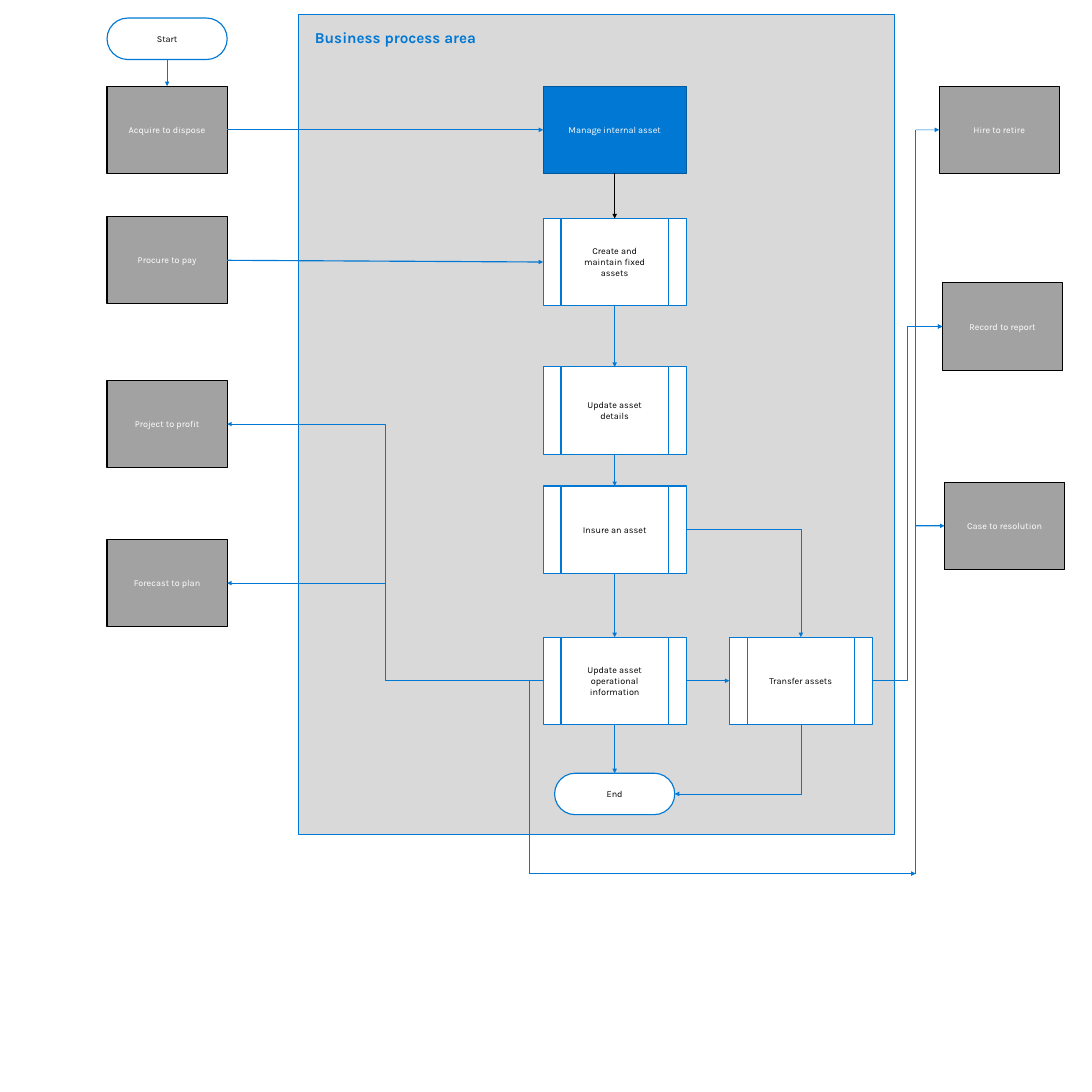
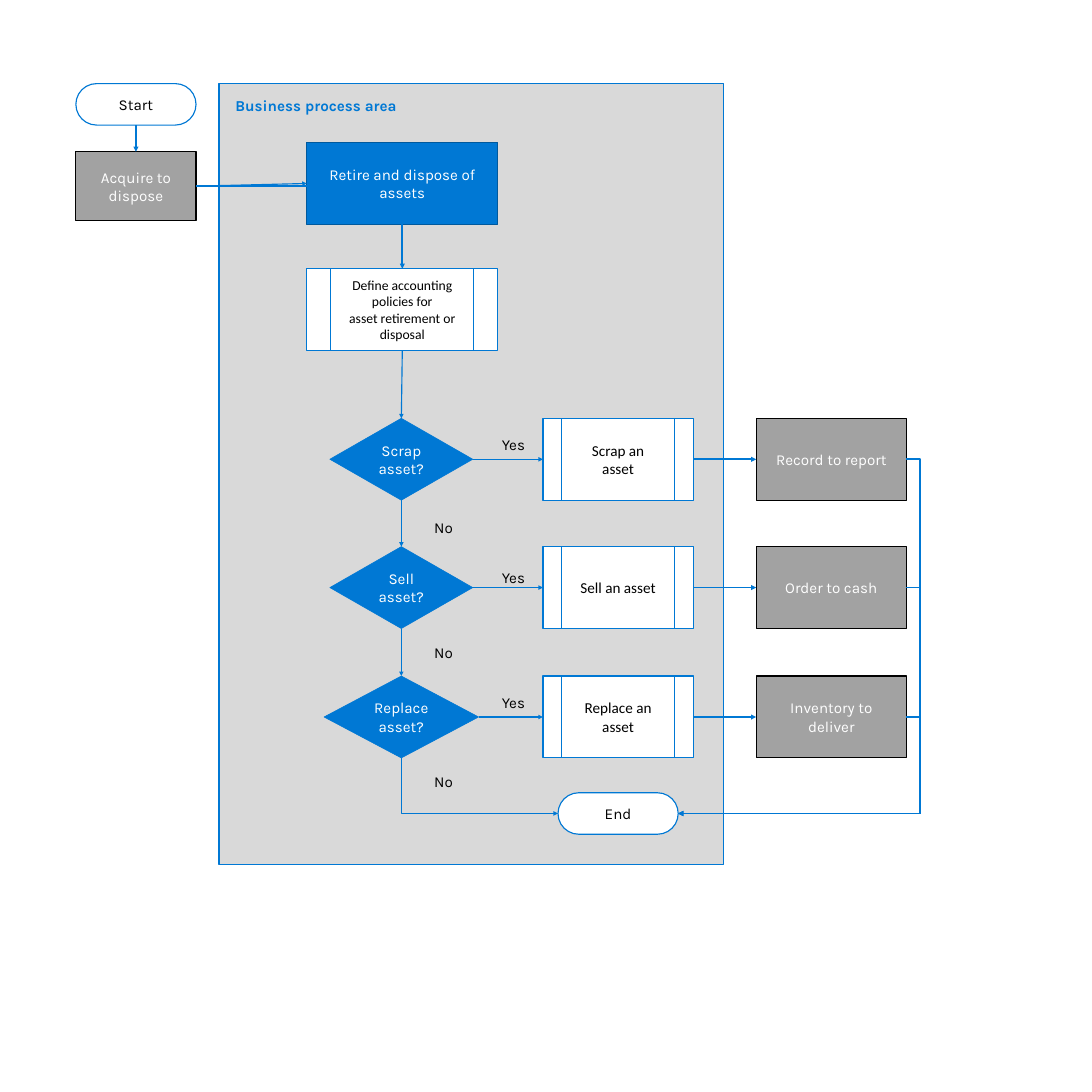
from dataclasses import dataclass
from itertools import pairwise

from pptx import Presentation
from pptx import util as u
from pptx.dml import color as dml
from pptx.enum import shapes, text
from pptx.oxml import ns, xmlchemy

BLUE, DARK_BLUE = "0078D4", "00599D"
GREY, LIGHT_GREY = "A2A2A2", "D9D9D9"
WHITE, BLACK = "FFFFFF", "000000"
TOP, LEFT, BOTTOM, RIGHT = range(4)
CAP_SIZE = (5.59, 1.93)


@dataclass
class Style:
    preset: shapes.MSO_SHAPE
    fill: str | None
    line: str
    ink: str
    line_width: float = 1.5
    insets: tuple = (0.76, 0.61)


PRESET = shapes.MSO_SHAPE
AREA = Style(PRESET.RECTANGLE, LIGHT_GREY, BLUE, BLUE)
START = Style(PRESET.ROUNDED_RECTANGLE, None, BLUE, BLACK)
END = Style(PRESET.ROUNDED_RECTANGLE, WHITE, BLUE, BLACK)
EXTERNAL = Style(PRESET.RECTANGLE, GREY, BLACK, WHITE)
MAIN = Style(PRESET.RECTANGLE, BLUE, DARK_BLUE, WHITE)
PROCESS = Style(PRESET.FLOWCHART_PREDEFINED_PROCESS, WHITE, BLUE, BLACK)
DECISION = Style(PRESET.FLOWCHART_DECISION, BLUE, BLUE, WHITE, 0.75, (0.51, 0.41))


def rgb(value):
    return dml.RGBColor.from_string(value)


def write(shape, words, size, ink, font="Karla", align=text.PP_ALIGN.CENTER,
          anchor=text.MSO_ANCHOR.MIDDLE, insets=(0, 0), bold=False):
    frame = shape.text_frame
    frame.word_wrap = True
    frame.vertical_anchor = anchor
    frame.margin_left = frame.margin_right = u.Cm(insets[0])
    frame.margin_top = frame.margin_bottom = u.Cm(insets[1])
    frame.text = words
    for paragraph in frame.paragraphs:
        paragraph.alignment = align
        paragraph.font.name = font
        paragraph.font.size = u.Pt(size)
        paragraph.font.bold = bold
        paragraph.font.color.rgb = rgb(ink)


def add_box(slide, style, words, position, box_size, text_size, **text_options):
    shape = slide.shapes.add_shape(style.preset, *map(u.Cm, position + box_size))
    shape.shadow.inherit = False
    if style.preset == PRESET.ROUNDED_RECTANGLE:
        shape.adjustments[0] = 0.5
    if style.fill:
        shape.fill.solid()
        shape.fill.fore_color.rgb = rgb(style.fill)
    else:
        shape.fill.background()
    shape.line.color.rgb = rgb(style.line)
    shape.line.width = u.Pt(style.line_width)
    write(shape, words, text_size, style.ink, insets=style.insets, **text_options)
    return shape


def add_area(slide, position, box_size):
    add_box(slide, AREA, "Business process area", position, box_size, 20, bold=True,
            align=text.PP_ALIGN.LEFT, anchor=text.MSO_ANCHOR.TOP)


def add_label(slide, words, position):
    label = slide.shapes.add_textbox(*map(u.Cm, position + (2, 0.86)))
    write(label, words, 20, BLACK, align=text.PP_ALIGN.LEFT, anchor=text.MSO_ANCHOR.TOP)


def locate(end):
    """Return the point of an end, given as (x, y) in cm or as (shape, side)."""
    target, side = end
    if isinstance(target, (int, float)):
        return u.Cm(target), u.Cm(side)
    x = {LEFT: 0, RIGHT: target.width}.get(side, target.width // 2)
    y = {TOP: 0, BOTTOM: target.height}.get(side, target.height // 2)
    return target.left + x, target.top + y


def link(slide, begin, end, width=1.5, color=BLUE, arrow="tailEnd",
         kind=shapes.MSO_CONNECTOR.STRAIGHT):
    """Join two ends; arrow is tailEnd (at end), headEnd (at begin) or None."""
    connector = slide.shapes.add_connector(kind, *locate(begin), *locate(end))
    for (target, side), connect in ((begin, connector.begin_connect),
                                    (end, connector.end_connect)):
        if not isinstance(target, (int, float)):
            connect(target, side)
    connector.line.color.rgb = rgb(color)
    connector.line.width = u.Pt(width)
    properties = connector._element.spPr
    if arrow:
        line = properties.find(ns.qn("a:ln"))
        line.append(xmlchemy.OxmlElement(f"a:{arrow}"))
        line[-1].set("type", "triangle")
    properties.append(xmlchemy.OxmlElement("a:effectLst"))
    return connector


def link_elbow(slide, begin, end, width=0.75, bend_x=None):
    """Run across, up or down, and across again; bend_x is in cm."""
    connector = link(slide, begin, end, width, kind=shapes.MSO_CONNECTOR.ELBOW)
    if bend_x is not None:
        begin_x, end_x = locate(begin)[0], locate(end)[0]
        ratio = (u.Cm(bend_x) - begin_x) / (end_x - begin_x)
        geometry = connector._element.spPr.find(ns.qn("a:prstGeom"))
        values = geometry.find(ns.qn("a:avLst"))
        if values is None:
            values = xmlchemy.OxmlElement("a:avLst")
            geometry.append(values)
        guide = xmlchemy.OxmlElement("a:gd")
        guide.set("name", "adj1")
        guide.set("fmla", f"val {round(ratio * 100000)}")
        values.append(guide)


def link_corner(slide, begin, end, width=0.75, arrow="tailEnd"):
    """Run across from begin, then up or down to end."""
    connector = link(slide, begin, end, width, arrow=arrow,
                     kind=shapes.MSO_CONNECTOR.ELBOW)
    connector._element.spPr.find(ns.qn("a:prstGeom")).set("prst", "bentConnector2")


def build_manage_slide(slide):
    outer_x, step_x, step_width, height = 4.98, 25.27, 6.65, 4.06
    outer_size, step_size = (5.59, height), (step_width, height)

    add_area(slide, (13.89, 0.69), (27.74, 38.13))
    start = add_box(slide, START, "Start", (outer_x, 0.84), CAP_SIZE, 12)
    acquire, procure, project, forecast = [
        add_box(slide, EXTERNAL, words, (outer_x, y), outer_size, 12)
        for words, y in (("Acquire to dispose", 4.01), ("Procure to pay", 10.08),
                         ("Project to profit", 17.7), ("Forecast to plan", 25.1))]
    hire, record, case = [
        add_box(slide, EXTERNAL, words, position, outer_size, 12)
        for words, position in (("Hire to retire", (43.69, 4.01)),
                                ("Record to report", (43.84, 13.16)),
                                ("Case to resolution", (43.94, 22.43)))]
    manage = add_box(slide, MAIN, "Manage internal asset", (step_x, 4.01), step_size, 12)
    create, details, insure, operations = [
        add_box(slide, PROCESS, words, (step_x, y), step_size, 12)
        for words, y in (("Create and maintain fixed assets", 10.16),
                         ("Update asset details", 17.07),
                         ("Insure an asset", 22.61),
                         ("Update asset operational information", 29.64))]
    transfer = add_box(slide, PROCESS, "Transfer assets", (33.93, 29.64), step_size, 12)
    end = add_box(slide, END, "End", (step_x + (step_width - CAP_SIZE[0]) / 2, 35.97),
                  CAP_SIZE, 12)

    link(slide, (start, BOTTOM), (acquire, TOP))
    link(slide, (acquire, RIGHT), (manage, LEFT))
    link(slide, (procure, RIGHT), (create, LEFT))
    link(slide, (manage, BOTTOM), (create, TOP), color=BLACK)
    for upper, lower in pairwise((create, details, insure, operations, end)):
        link(slide, (upper, BOTTOM), (lower, TOP))
    link(slide, (operations, RIGHT), (transfer, LEFT))
    link_corner(slide, (insure, RIGHT), (transfer, TOP))
    link_corner(slide, (end, RIGHT), (transfer, BOTTOM), arrow="headEnd")
    link_elbow(slide, (transfer, RIGHT), (record, LEFT))
    for target in (project, forecast):
        link_elbow(slide, (operations, LEFT), (target, RIGHT))

    branch_x, trunk_x, bottom_y = 24.64, 42.6, 40.64
    link(slide, (branch_x, 31.67), (branch_x, bottom_y), 0.75, arrow=None)
    link(slide, (branch_x, bottom_y), (trunk_x, bottom_y), 0.75)
    link(slide, (trunk_x, bottom_y), (trunk_x, 6.04), 0.75, arrow=None)
    for target, y, width in ((hire, 6.04, 0.75), (record, 15.19, 0.75),
                             (case, 24.46, 1.5)):
        link(slide, (trunk_x, y), (target, LEFT), width)


def build_retire_slide(slide):
    axis_x, height, bus_x = 18.67, 3.81, 42.8
    main_size, step_size = (8.89, height), (6.99, height)

    add_area(slide, (10.19, 3.89), (23.47, 36.32))
    start = add_box(slide, START, "Start", (3.53, 3.89), CAP_SIZE, 20)
    acquire = add_box(slide, EXTERNAL, "Acquire to dispose", (3.53, 7.06), (5.59, 3.2), 20)
    retire = add_box(slide, MAIN, "Retire and dispose of assets", (14.27, 6.63),
                     main_size, 20)
    define = add_box(slide, PROCESS,
                     "Define accounting policies for\nasset retirement or disposal",
                     (14.27, 12.5), main_size, 18, font="Calibri")
    end = add_box(slide, END, "End", (25.96, 36.88), CAP_SIZE, 20)
    link(slide, (start, BOTTOM), (acquire, TOP), 2.25)
    link(slide, (acquire, RIGHT), (retire, LEFT))
    link(slide, (acquire, RIGHT), (15.19, 8.66), 2.25)
    link(slide, (retire, BOTTOM), (define, TOP), 2.25)

    previous = define
    for verb, step, target, y, width, yes_y, no_y in (
            ("Scrap", "Scrap an asset", "Record to report", 19.46, 6.65, 20.24, 24.13),
            ("Sell", "Sell an asset", "Order to cash", 25.43, 6.65, 26.44, 29.95),
            ("Replace", "Replace an asset", "Inventory to deliver", 31.45, 7.19,
             32.26, 35.92)):
        decision = add_box(slide, DECISION, f"{verb} asset?", (axis_x - width / 2, y),
                           (width, height), 20)
        process = add_box(slide, PROCESS, step, (25.26, y), step_size, 20, font="Calibri")
        external = add_box(slide, EXTERNAL, target, (35.18, y), step_size, 20)
        add_label(slide, "Yes", (23.35, yes_y))
        add_label(slide, "No", (20.2, no_y))
        link(slide, (previous, BOTTOM), (decision, TOP))
        link(slide, (decision, RIGHT), (process, LEFT))
        link(slide, (process, RIGHT), (external, LEFT), 2.25)
        link_elbow(slide, (external, RIGHT), (end, RIGHT), 2.25, bus_x)
        previous = decision
    link_corner(slide, (end, LEFT), (previous, BOTTOM), 1.5, arrow="headEnd")


def main():
    presentation = Presentation()
    presentation.slide_width = presentation.slide_height = u.Cm(50.8)
    for build in (build_manage_slide, build_retire_slide):
        build(presentation.slides.add_slide(presentation.slide_layouts[6]))
    presentation.save("out.pptx")


if __name__ == "__main__":
    main()
